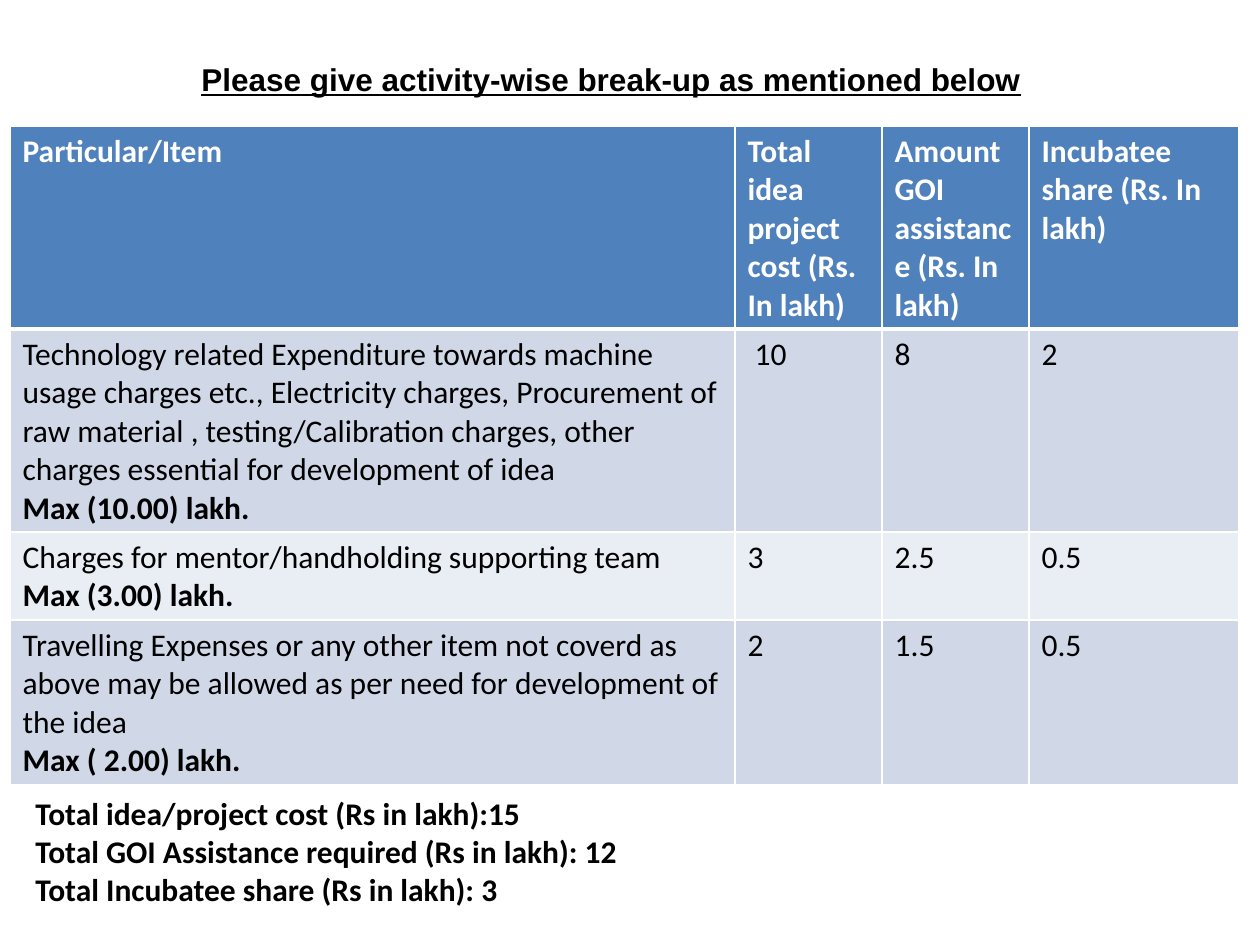
from lxml import etree
from pptx import Presentation, util as u
from pptx.dml.color import RGBColor
from pptx.enum import text
from pptx.oxml.ns import qn

# Content
TITLE = "Please give activity-wise break-up as mentioned below"
HEADINGS = ["Particular/Item", "Total idea project cost (Rs. In lakh)",
            "Amount GOI assistance (Rs. In lakh)", "Incubatee share (Rs. In lakh)"]
# Each item: description, ceiling, then total cost, assistance and share
ITEMS = [
    ("Technology related Expenditure towards machine usage charges etc., "
     "Electricity charges, Procurement of raw material , testing/Calibration "
     "charges, other charges essential for development of idea",
     "Max (10.00) lakh.", " 10", "8", "2"),
    ("Charges for mentor/handholding supporting team",
     "Max (3.00) lakh.", "3", "2.5", "0.5"),
    ("Travelling Expenses or any other item not coverd as above may be allowed "
     "as per need for development of the idea",
     "Max ( 2.00) lakh.", "2", "1.5", "0.5"),
]
TOTALS = ["Total idea/project cost (Rs in lakh):15",
          "Total GOI Assistance required (Rs in lakh): 12",
          "Total Incubatee share (Rs in lakh): 3"]

# Layout in px, 126 to the inch
TITLE_BOX = (189, 54, 935, 50)
TOTALS_BOX = (23, 788, 777, 127)
TABLE_LEFT, TABLE_TOP = 10, 126
COLUMN_WIDTHS = [725, 147, 147, 210]
ROW_HEIGHTS = [203, 203, 88, 165]

BLACK, WHITE = "000000", "FFFFFF"
HEADER_FILL, BAND_FILLS = "4F81BD", ["D0D8E8", "E9EDF4"]
BODY = {"name": "Calibri", "size": u.Pt(18), "bold": False}
STRONG = {**BODY, "bold": True}
HEADLINE = {**STRONG, "name": "Arial", "underline": True}


def px(value):
    return u.Emu(round(value * 914400 / 126))


def rgb(value):
    return RGBColor.from_string(value)


def add_run(paragraph, words, style, color=BLACK):
    run = paragraph.add_run()
    run.text = words
    for name, value in style.items():
        setattr(run.font, name, value)
    run.font.color.rgb = rgb(color)


def add_text(slide, box, lines, style):
    frame = slide.shapes.add_textbox(*map(px, box)).text_frame
    frame.word_wrap = True
    frame.auto_size = text.MSO_AUTO_SIZE.SHAPE_TO_FIT_TEXT
    for index, line in enumerate(lines):
        paragraph = frame.add_paragraph() if index else frame.paragraphs[0]
        add_run(paragraph, line, style)


def format_cell(cell, fill, top, bottom):
    """Fill a cell and give it white borders; top and bottom are in points."""
    properties = cell._tc.get_or_add_tcPr()
    for side, width in (("L", 1), ("R", 1), ("T", top), ("B", bottom)):
        line = etree.SubElement(properties, qn(f"a:ln{side}"), w=str(u.Pt(width)))
        solid = etree.SubElement(line, qn("a:solidFill"))
        etree.SubElement(solid, qn("a:srgbClr"), val=WHITE)
    cell.fill.solid()
    cell.fill.fore_color.rgb = rgb(fill)


def add_cost_table(slide):
    table = slide.shapes.add_table(
        len(ROW_HEIGHTS), len(COLUMN_WIDTHS), px(TABLE_LEFT), px(TABLE_TOP),
        px(sum(COLUMN_WIDTHS)), px(sum(ROW_HEIGHTS))).table
    for column, width in zip(table.columns, COLUMN_WIDTHS):
        column.width = px(width)
    for row, height in zip(table.rows, ROW_HEIGHTS):
        row.height = px(height)

    # Header row
    for cell, heading in zip(table.rows[0].cells, HEADINGS):
        format_cell(cell, HEADER_FILL, 1, 3)
        add_run(cell.text_frame.paragraphs[0], heading, STRONG, WHITE)

    # Item rows in alternating bands
    for index, (description, ceiling, *amounts) in enumerate(ITEMS):
        cells = list(table.rows[index + 1].cells)
        for cell in cells:
            format_cell(cell, BAND_FILLS[index % 2], 1 if index else 3, 1)
        paragraph = cells[0].text_frame.paragraphs[0]
        add_run(paragraph, description, BODY)
        paragraph.add_line_break()
        add_run(paragraph, ceiling, STRONG)
        for cell, amount in zip(cells[1:], amounts):
            add_run(cell.text_frame.paragraphs[0], amount, BODY)


def main():
    presentation = Presentation()
    presentation.slide_width, presentation.slide_height = u.Inches(10), u.Inches(7.5)
    slide = presentation.slides.add_slide(presentation.slide_layouts[6])
    add_text(slide, TITLE_BOX, [TITLE], HEADLINE)
    add_cost_table(slide)
    add_text(slide, TOTALS_BOX, TOTALS, STRONG)
    presentation.save("out.pptx")


if __name__ == "__main__":
    main()
